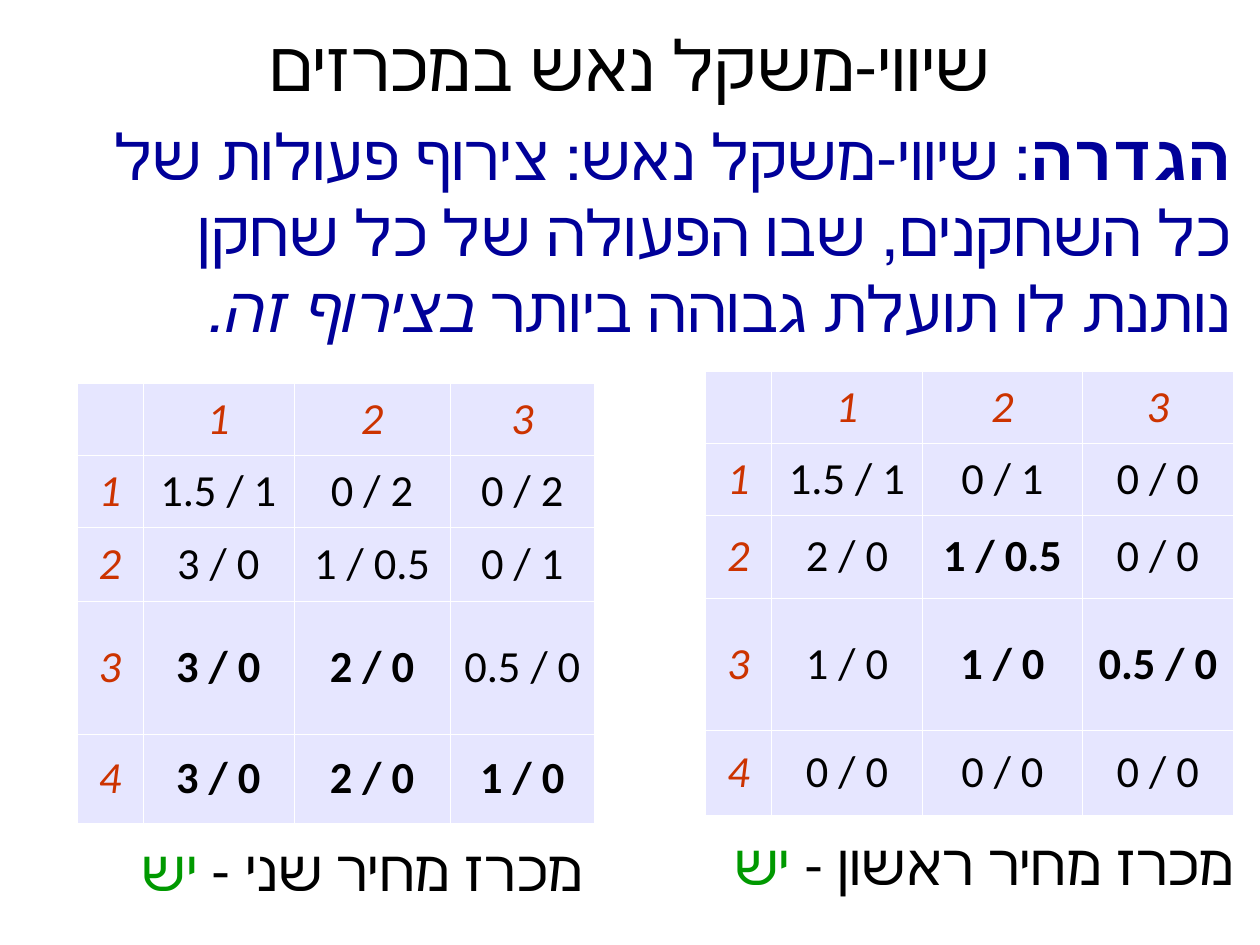
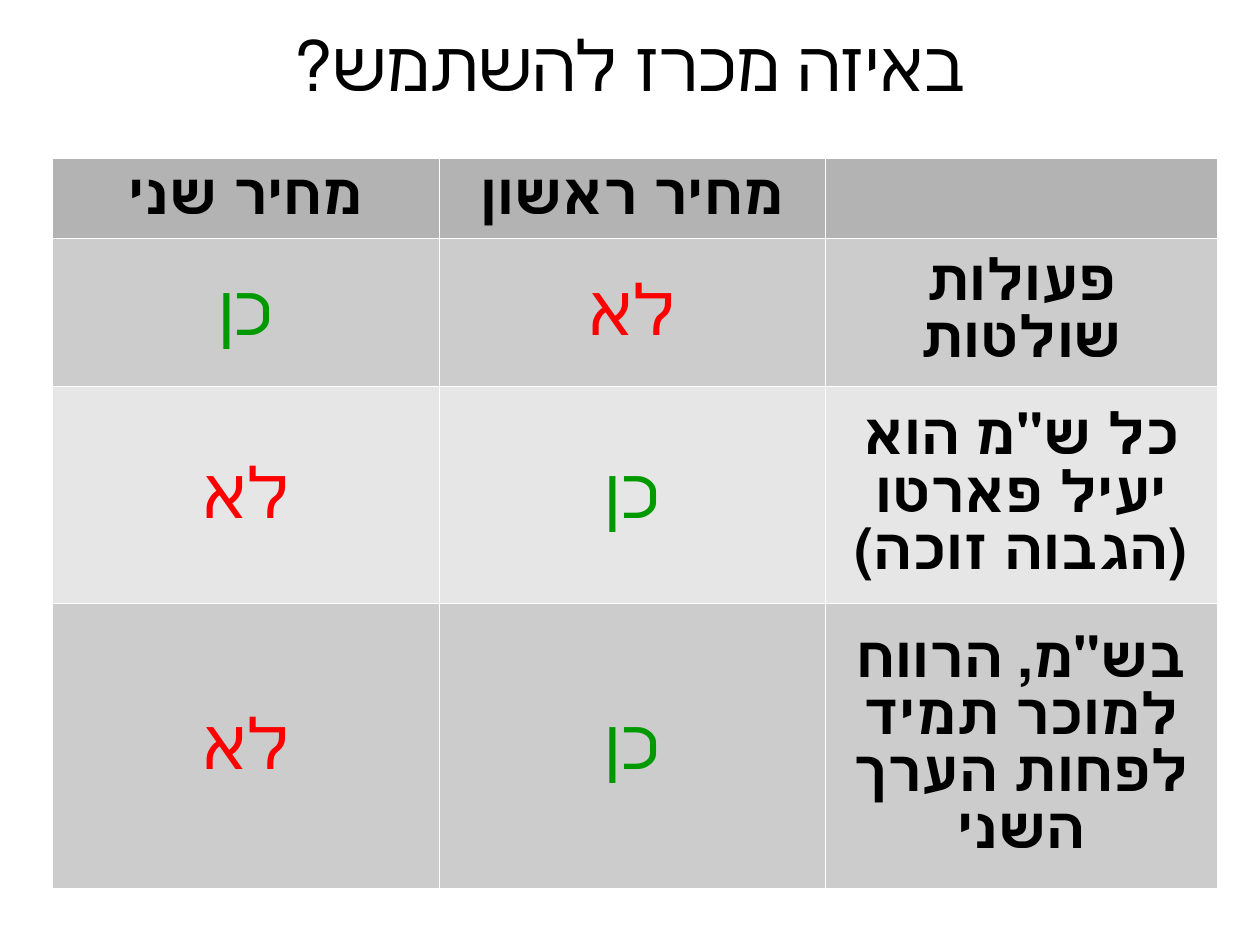
from lxml import etree
from pptx import Presentation
from pptx.dml.color import RGBColor
from pptx.enum.text import MSO_ANCHOR, PP_ALIGN
from pptx.oxml.ns import qn
from pptx.util import Inches, Pt

CENTER, RIGHT = PP_ALIGN.CENTER, PP_ALIGN.RIGHT
TOP, MIDDLE = MSO_ANCHOR.TOP, MSO_ANCHOR.MIDDLE

# Slide of 28 by 21 cm
CM_PER_INCH = 2.54
SLIDE_SIZE = Inches(28 / CM_PER_INCH), Inches(21 / CM_PER_INCH)

BLACK = RGBColor(0x00, 0x00, 0x00)
WHITE = RGBColor(0xFF, 0xFF, 0xFF)
NAVY = RGBColor(0x00, 0x00, 0x99)
GREEN = RGBColor(0x00, 0x99, 0x00)
RED = RGBColor(0xFF, 0x00, 0x00)
RUST = RGBColor(0xCC, 0x33, 0x00)
LILAC = RGBColor(0xE6, 0xE6, 0xFF)
HEAD_GRAY = RGBColor(0xB3, 0xB3, 0xB3)
BAND_GRAYS = (RGBColor(0xE6, 0xE6, 0xE6), RGBColor(0xCC, 0xCC, 0xCC))

# Text formats
TITLE = {"name": "Arial", "size": Pt(44), "color": BLACK}
BODY = {"name": "Arial", "size": Pt(40), "color": NAVY}
CAPTION = {"name": "Arial", "size": Pt(36), "color": BLACK}
LABEL = {**CAPTION, "bold": True}
PAYOFF = {"name": "Calibri", "size": Pt(28), "color": BLACK}
ACTION = {**PAYOFF, "color": RUST, "italic": True}

# Slide 1: payoffs, and the (row, column) of each best reply
SECOND_PRICE = [["", "1", "2", "3"],
                ["1", "1.5 / 1", "0 / 2", "0 / 2"],
                ["2", "3 / 0", "1 / 0.5", "0 / 1"],
                ["3", "3 / 0", "2 / 0", "0.5 / 0"],
                ["4", "3 / 0", "2 / 0", "1 / 0"]]
SECOND_BEST = {(3, 1), (3, 2), (4, 1), (4, 2), (4, 3)}
FIRST_PRICE = [["", "1", "2", "3"],
               ["1", "1.5 / 1", "0 / 1", "0 / 0"],
               ["2", "2 / 0", "1 / 0.5", "0 / 0"],
               ["3", "1 / 0", "1 / 0", "0.5 / 0"],
               ["4", "0 / 0", "0 / 0", "0 / 0"]]
FIRST_BEST = {(2, 2), (3, 2), (3, 3)}

# Slide 2: comparison of the auctions
ANSWERS = {"כן": GREEN, "לא": RED}
COMPARISON = [["מחיר שני", "מחיר ראשון", ""],
              ["כן", "לא", "פעולות שולטות"],
              ["לא", "כן", 'כל ש"מ הוא יעיל פארטו (הגבוה זוכה)'],
              ["לא", "כן", 'בש"מ, הרווח למוכר תמיד לפחות הערך השני']]


def add_run(p, text, fmt):
    r = p.add_run()
    r.text = text
    for key, value in fmt.items():
        if key == "color":
            r.font.color.rgb = value
        else:
            setattr(r.font, key, value)


def fill_paragraph(p, runs, align, rtl=True, spacing=None):
    p.alignment = align
    if rtl:
        p._p.get_or_add_pPr().set("rtl", "1")
    if spacing:
        p.line_spacing = spacing
    for text, fmt in runs:
        add_run(p, text, fmt)


def add_text(slide, box, runs, align, anchor=TOP, inset=(0, 0), spacing=None):
    """Place runs in a box; inset gives the right and the vertical margin."""
    sp = slide.shapes.add_textbox(*map(Inches, box))
    tf = sp.text_frame
    tf.word_wrap = True
    tf.vertical_anchor = anchor
    tf.margin_left, tf.margin_right = 0, Inches(inset[0])
    tf.margin_top = tf.margin_bottom = Inches(inset[1])
    fill_paragraph(tf.paragraphs[0], runs, align, spacing=spacing)


def add_title(slide, text):
    add_text(slide, (0.55, 0.2, 9.92, 0.71), [(text, TITLE)], CENTER, MIDDLE)


def set_borders(cell):
    tcPr = cell._tc.get_or_add_tcPr()
    for i, side in enumerate(("lnL", "lnR", "lnT", "lnB")):
        ln = etree.Element(qn("a:" + side), w=str(Pt(0.06)))
        fill = etree.SubElement(ln, qn("a:solidFill"))
        etree.SubElement(fill, qn("a:srgbClr"), val=str(WHITE))
        tcPr.insert(i, ln)


def add_grid(slide, left, top, widths, heights, data, style, rtl):
    """Draw data; style(row, col, text) gives fill, format and line spacing."""
    frame = slide.shapes.add_table(
        len(heights), len(widths), Inches(left), Inches(top),
        Inches(sum(widths)), Inches(sum(heights)))
    table = frame.table
    table.first_row = table.horz_banding = False
    for col, width in zip(table.columns, widths):
        col.width = Inches(width)
    for row, height in zip(table.rows, heights):
        row.height = Inches(height)
    for i, texts in enumerate(data):
        for j, text in enumerate(texts):
            cell = table.cell(i, j)
            color, fmt, spacing = style(i, j, text)
            cell.fill.solid()
            cell.fill.fore_color.rgb = color
            set_borders(cell)
            cell.vertical_anchor = MIDDLE
            if text:
                fill_paragraph(cell.text_frame.paragraphs[0], [(text, fmt)],
                               CENTER, rtl, spacing)


def add_payoffs(slide, left, top, widths, heights, data, best):
    def style(i, j, text):
        if i == 0 or j == 0:
            return LILAC, ACTION, None
        return LILAC, {**PAYOFF, "bold": (i, j) in best}, None

    add_grid(slide, left, top, widths, heights, data, style, rtl=False)


def add_caption(slide, left, top, text):
    runs = [(text + " - ", CAPTION), ("יש", {**CAPTION, "color": GREEN})]
    add_text(slide, (left, top, 4.7, 0.68), runs, RIGHT, inset=(0.1, 0.05))


def comparison_style(i, j, text):
    color = BAND_GRAYS[i % 2] if i else HEAD_GRAY
    if text in ANSWERS:
        return color, {**TITLE, "color": ANSWERS[text]}, Pt(47)
    return color, LABEL, Pt(36)


def build_equilibrium(slide):
    add_title(slide, "שיווי-משקל נאש במכרזים")
    # Definition
    add_text(slide, (0.85, 1.02, 9.92, 1.98), [
        ("הגדרה", {**BODY, "bold": True}),
        (": שיווי-משקל נאש: צירוף פעולות של כל השחקנים, שבו הפעולה "
         "של כל שחקן נותנת לו תועלת גבוהה ביותר ", BODY),
        ("בצירוף זה.", {**BODY, "italic": True}),
    ], RIGHT, spacing=Pt(48))
    # Second-price auction
    add_payoffs(slide, 0.67, 3.35, (0.58, 1.32, 1.37, 1.26),
                (0.63, 0.63, 0.65, 1.16, 0.78), SECOND_PRICE, SECOND_BEST)
    add_caption(slide, 0.5, 7.25, "מכרז מחיר שני")
    # First-price auction
    add_payoffs(slide, 6.17, 3.25, (0.58, 1.32, 1.4, 1.32),
                (0.63, 0.63, 0.72, 1.16, 0.74), FIRST_PRICE, FIRST_BEST)
    add_caption(slide, 6.2, 7.2, "מכרז מחיר ראשון")


def build_comparison(slide):
    add_title(slide, "באיזה מכרז להשתמש?")
    add_grid(slide, 0.46, 1.38, (3.38, 3.38, 3.43), (0.7, 1.3, 1.9, 2.49),
             COMPARISON, comparison_style, rtl=True)


def main():
    prs = Presentation()
    prs.slide_width, prs.slide_height = SLIDE_SIZE
    blank = prs.slide_layouts[6]
    for build in (build_equilibrium, build_comparison):
        build(prs.slides.add_slide(blank))
    prs.save("out.pptx")


if __name__ == "__main__":
    main()
